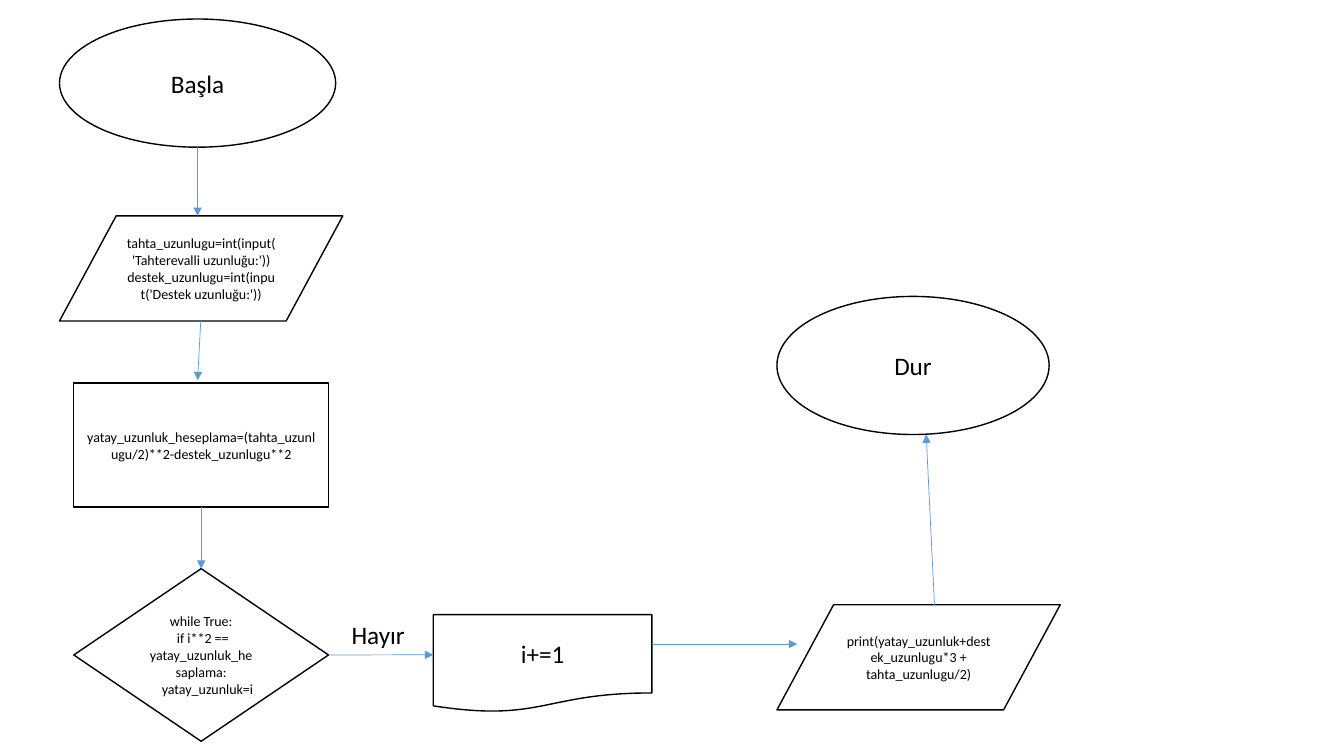
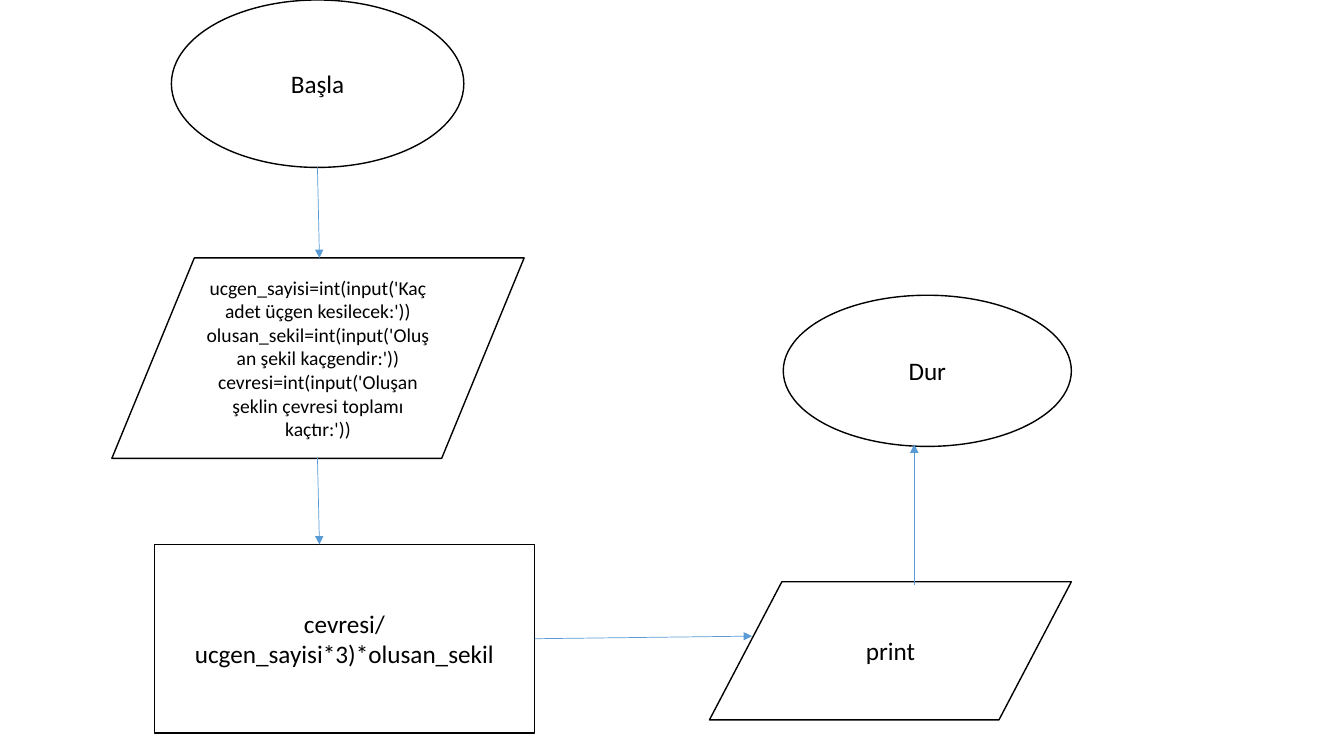
"""Build two flowchart slides: seesaw board length and triangle perimeter."""
from lxml import etree
from pptx import Presentation
from pptx.dml.color import RGBColor
from pptx.enum.shapes import MSO_CONNECTOR, MSO_SHAPE as SHAPE
from pptx.enum.text import MSO_ANCHOR, MSO_AUTO_SIZE, PP_ALIGN
from pptx.oxml.ns import qn
from pptx.util import Cm, Pt

COLORS = {"paper": "FFFFFF", "ink": "000000", "arrow": "5B9BD5"}
FONT = "Calibri"
TOP, BOTTOM, RIGHT = 0, 2, 3
OVAL, DATA, PROCESS = SHAPE.OVAL, SHAPE.FLOWCHART_DATA, SHAPE.RECTANGLE
DECISION, DOCUMENT = SHAPE.DIAMOND, SHAPE.FLOWCHART_DOCUMENT


def color(name):
    return RGBColor.from_string(COLORS[name])


def write_lines(frame, lines, size, align):
    frame.word_wrap = True
    frame.text = "\n".join(lines)
    for paragraph in frame.paragraphs:
        paragraph.alignment = align
        paragraph.font.name = FONT
        paragraph.font.size = Pt(size)
        paragraph.font.color.rgb = color("ink")


seesaw = {
    "steps": {
        "start": (OVAL, (1.5, 0.48, 6.96, 3.23), 18, ["Başla"]),
        "input": (DATA, (1.5, 5.44, 7.14, 2.65), 10, [
            "tahta_uzunlugu=int(input('Tahterevalli uzunluğu:'))",
            "destek_uzunlugu=int(input('Destek uzunluğu:'))"]),
        "formula": (PROCESS, (1.86, 9.65, 6.42, 3.13), 10, [
            "yatay_uzunluk_heseplama=(tahta_uzunlugu/2)**2-destek_uzunlugu**2"]),
        "test": (DECISION, (1.86, 14.33, 6.42, 4.35), 10, [
            "while True:",
            " if i**2 == yatay_uzunluk_hesaplama:",
            "    yatay_uzunluk=i"]),
        "count": (DOCUMENT, (10.92, 15.49, 5.51, 2.46), 18, ["i+=1"]),
        "output": (DATA, (19.58, 15.24, 7.14, 2.65), 10, [
            "print(yatay_uzunluk+destek_uzunlugu*3 + tahta_uzunlugu/2)"]),
        "stop": (OVAL, (19.58, 7.47, 6.86, 3.48), 18, ["Dur"]),
    },
    "arrows": [
        ((4.98, 3.71), (4.98, 5.44)),
        ((5.06, 8.09), (4.98, 9.58)),
        (("formula", BOTTOM), ("test", TOP)),
        (("test", RIGHT), (10.92, 16.5)),
        ((16.43, 16.23), (20.09, 16.23)),
        ((23.55, 15.24), (23.34, 10.95)),
    ],
    "labels": [("Hayır", (8.61, 15.49, 2.18, 1.02))],
}

triangles = {
    "steps": {
        "start": (OVAL, (4.32, 0, 7.37, 4.22), 18, ["Başla"]),
        "input": (DATA, (2.82, 6.5, 10.39, 5.05), 14, [
            "ucgen_sayisi=int(input('Kaç adet üçgen kesilecek:'))",
            "olusan_sekil=int(input('Oluşan şekil kaçgendir:'))",
            "cevresi=int(input('Oluşan şeklin çevresi toplamı kaçtır:'))"]),
        "formula": (PROCESS, (3.89, 13.72, 9.58, 4.75), 18, [
            "cevresi/ucgen_sayisi*3)*olusan_sekil"]),
        "output": (DATA, (17.88, 14.66, 9.12, 3.48), 18, ["print"]),
        "stop": (OVAL, (19.74, 7.44, 7.26, 3.81), 18, ["Dur"]),
    },
    "arrows": [
        ((8, 4.22), (8.05, 6.5)),
        ((8, 11.53), (8.05, 13.72)),
        (("formula", RIGHT), (18.95, 16.03)),
        ((23.04, 14.73), (23.04, 11.2)),
    ],
    "labels": [],
}

deck = Presentation()
deck.slide_width, deck.slide_height = Cm(33.87), Cm(19.05)

for chart in (seesaw, triangles):
    slide = deck.slides.add_slide(deck.slide_layouts[6])
    steps = {}
    for name, (outline, box, size, lines) in chart["steps"].items():
        step = slide.shapes.add_shape(outline, *map(Cm, box))
        step.shadow.inherit = False
        step.fill.solid()
        step.fill.fore_color.rgb = color("paper")
        step.line.color.rgb = color("ink")
        step.line.width = Pt(1)
        step.text_frame.vertical_anchor = MSO_ANCHOR.MIDDLE
        write_lines(step.text_frame, lines, size, PP_ALIGN.CENTER)
        steps[name] = step

    for start, end in chart["arrows"]:
        start_joined, end_joined = start[0] in steps, end[0] in steps
        start_point = (0, 0) if start_joined else start
        end_point = (0, 0) if end_joined else end
        arrow = slide.shapes.add_connector(
            MSO_CONNECTOR.STRAIGHT, *map(Cm, start_point + end_point))
        if start_joined:
            arrow.begin_connect(steps[start[0]], start[1])
        if end_joined:
            arrow.end_connect(steps[end[0]], end[1])
        arrow.line.color.rgb = color("arrow")
        arrow.line.width = Pt(0.5)
        etree.SubElement(arrow.line._get_or_add_ln(), qn("a:tailEnd"), type="triangle")
        etree.SubElement(arrow._element.spPr, qn("a:effectLst"))

    for text, box in chart["labels"]:
        label = slide.shapes.add_textbox(*map(Cm, box))
        write_lines(label.text_frame, [text], 18, PP_ALIGN.LEFT)
        label.text_frame.auto_size = MSO_AUTO_SIZE.SHAPE_TO_FIT_TEXT

deck.save("out.pptx")
